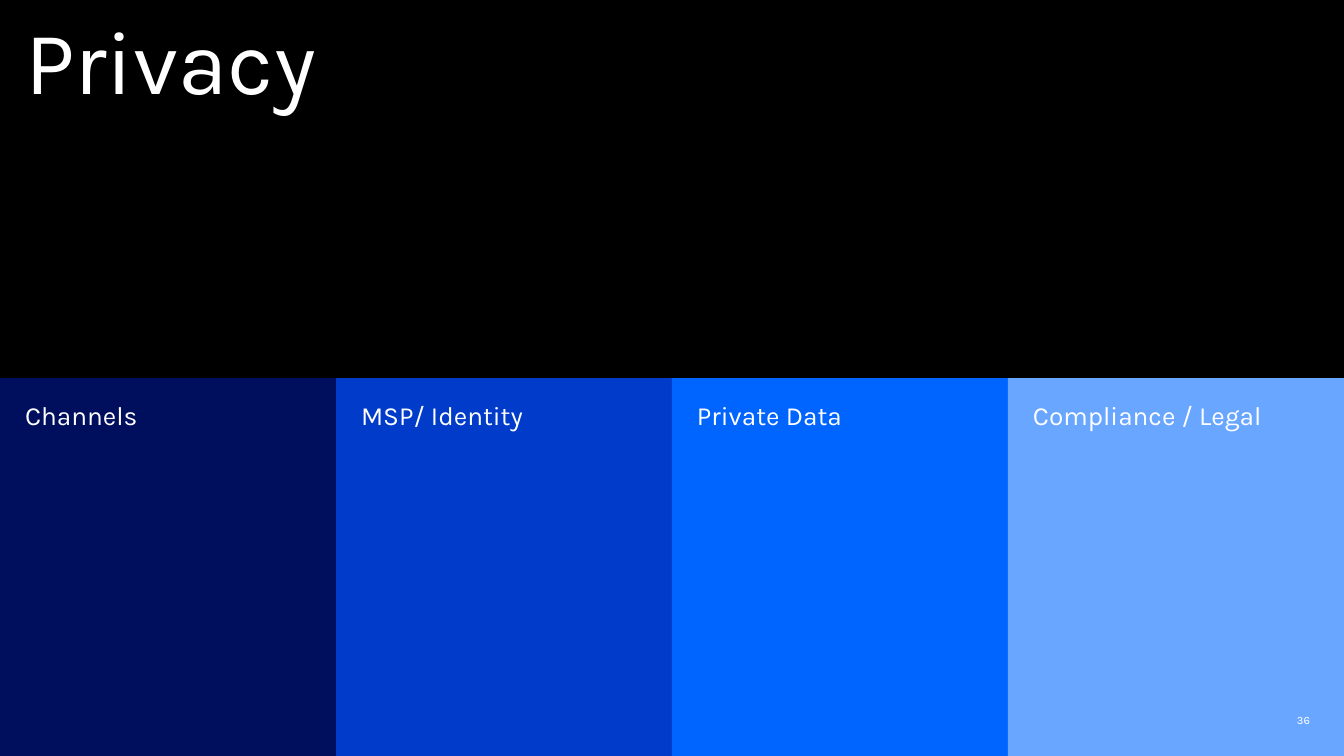
from pptx import Presentation
from pptx.dml.color import RGBColor
from pptx.enum.shapes import MSO_SHAPE
from pptx.enum.text import MSO_ANCHOR, PP_ALIGN
from pptx.util import Pt

RECTANGLE = MSO_SHAPE.RECTANGLE
TOP, MIDDLE = MSO_ANCHOR.TOP, MSO_ANCHOR.MIDDLE
LEFT, RIGHT = PP_ALIGN.LEFT, PP_ALIGN.RIGHT

SLIDE_W, SLIDE_H = 1344, 756
FONT = "Karla"
WHITE, BLACK, NAVY = "FFFFFF", "000000", "000E5E"
TOPICS = [
    ("Channels", NAVY),
    ("MSP/ Identity", "003BC9"),
    ("Private Data", "0064FF"),
    ("Compliance / Legal", "69A6FF"),
]


def px(length):
    return round(length * 914400 / 100.8)


def color(hex_string):
    return RGBColor.from_string(hex_string)


def write(shape, text, size, margins, align=LEFT, anchor=TOP):
    frame = shape.text_frame
    frame.word_wrap = True
    frame.vertical_anchor = anchor
    (frame.margin_left, frame.margin_top,
     frame.margin_right, frame.margin_bottom) = map(px, margins)
    frame.text = text
    paragraph = frame.paragraphs[0]
    paragraph.alignment = align
    font = paragraph.runs[0].font
    font.name, font.size = FONT, Pt(size)
    font.color.rgb = color(WHITE)
    return paragraph


def add_panel(slide, box, fill):
    panel = slide.shapes.add_shape(RECTANGLE, *map(px, box))
    panel.shadow.inherit = False
    panel.fill.solid()
    panel.fill.fore_color.rgb = color(fill)
    panel.line.fill.background()
    return panel


def add_title(slide, box):
    banner = add_panel(slide, box, BLACK)
    heading = write(banner, "Privacy", 64, (25, 17, 25, 25))
    heading.line_spacing = 0.9


def add_topics(slide, box):
    left, top, width, height = box
    column_w = width // len(TOPICS)
    for column, (topic, fill) in enumerate(TOPICS):
        panel = add_panel(slide, (left + column * column_w, top, column_w, height), fill)
        write(panel, topic, 18.7, (25, 21, 25, 25))


def add_page_number(slide, box):
    page_number = slide.shapes.add_textbox(*map(px, box))
    write(page_number, "36", 8, (0, 0, 0, 0), RIGHT, MIDDLE)


def main():
    deck = Presentation()
    deck.slide_width, deck.slide_height = px(SLIDE_W), px(SLIDE_H)
    slide = deck.slides.add_slide(deck.slide_layouts[6])
    slide.background.fill.solid()
    slide.background.fill.fore_color.rgb = color(NAVY)

    # Title banner above, topic columns below
    half = SLIDE_H // 2
    add_title(slide, (0, 0, SLIDE_W, half))
    add_topics(slide, (0, half, SLIDE_W, half))

    # Page number in the bottom right corner
    add_page_number(slide, (1008, 710, 302, 20))
    deck.save("out.pptx")


if __name__ == "__main__":
    main()
